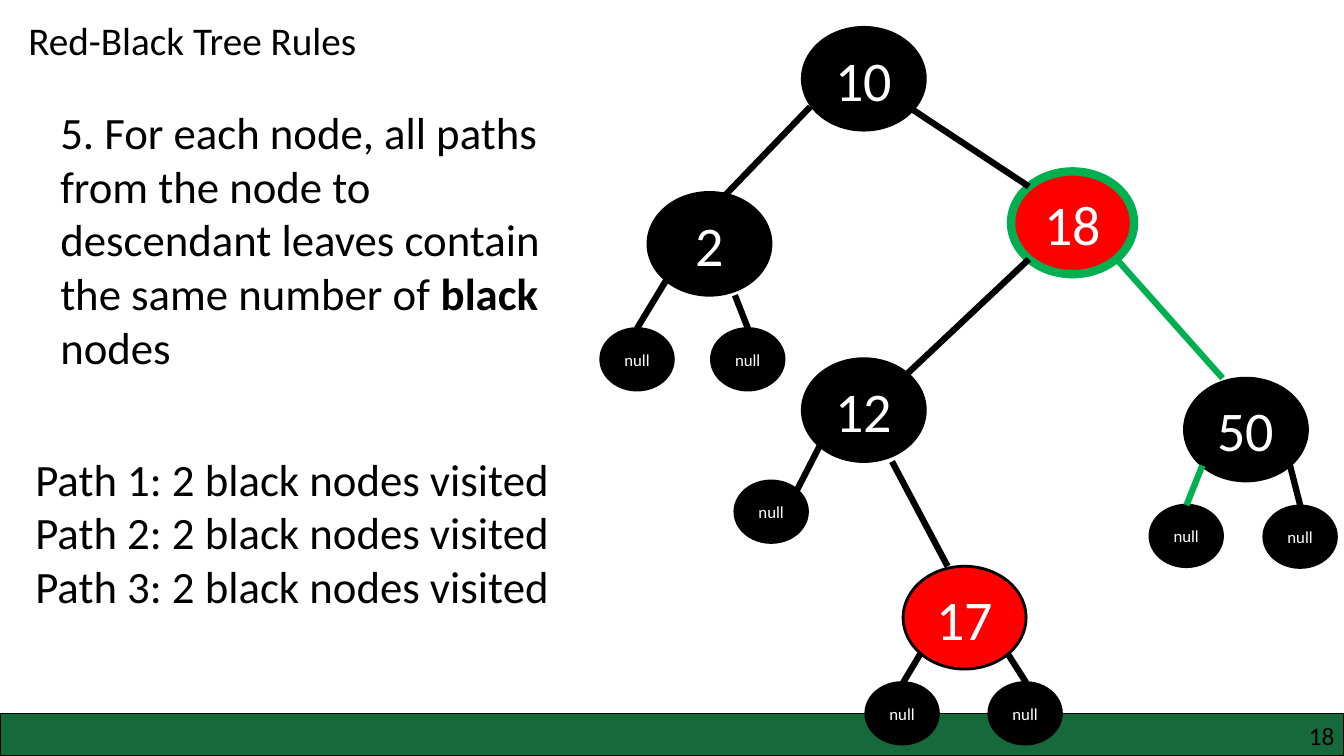
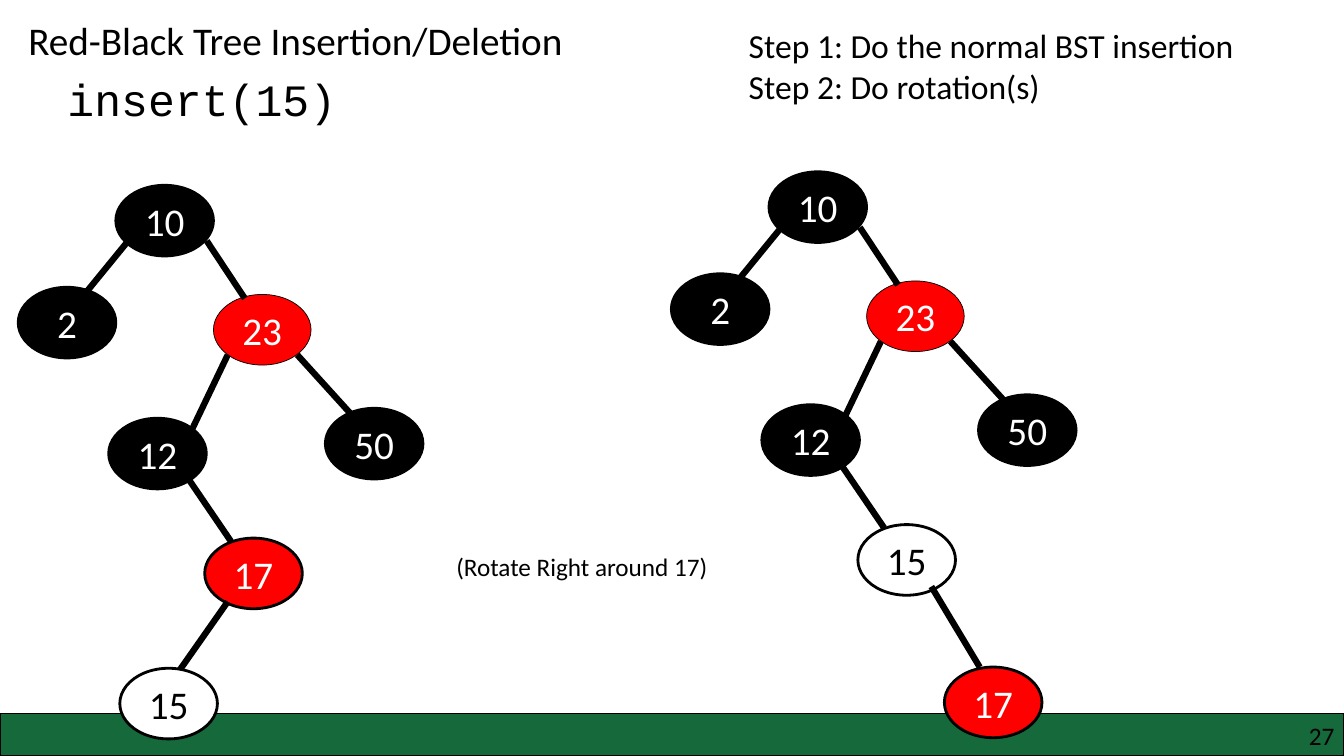
from lxml.etree import SubElement
from pptx import Presentation
from pptx.dml.color import RGBColor
from pptx.enum.shapes import MSO_CONNECTOR, MSO_SHAPE
from pptx.enum.text import MSO_ANCHOR, MSO_AUTO_SIZE, PP_ALIGN
from pptx.oxml.ns import qn
from pptx.util import Cm, Pt

BLACK = RGBColor(0x00, 0x00, 0x00)
WHITE = RGBColor(0xFF, 0xFF, 0xFF)
RED = RGBColor(0xFF, 0x00, 0x00)
GREEN = RGBColor(0x00, 0xB0, 0x50)
FOREST = RGBColor(0x15, 0x69, 0x3B)

WIDTH, HEIGHT = 33.87, 19.05
BAND = 1.07
BIG = dict(wide=3.1, high=2.59, size=40)
SMALL = dict(wide=1.83, high=1.55, size=12)
MID = dict(wide=2.46, high=1.78, size=28)
SHIFT = (16.46, -0.34)

RULE_NODES = [
    ("10", 20.22, 0.69, {}),
    ("18", 25.48, 4.32, dict(fill=RED, rim=GREEN, weight=6)),
    ("50", 29.85, 9.53, {}),
    ("12", 20.22, 9.04, {}),
    ("17", 22.76, 14.27, dict(fill=RED)),
    ("2", 16.33, 4.85, {}),
]
NULL_SPOTS = [
    (18.52, 12.12), (21.82, 17.2), (24.92, 17.2), (28.98, 12.73),
    (31.85, 12.75), (15.14, 8.28), (17.93, 8.28),
]
RULE_EDGES = [
    (20.42, 2.69, 17.88, 5.33),
    (23.01, 2.77, 25.93, 4.7),
    (25.93, 6.53, 22.86, 9.42),
    (22.48, 11.63, 23.88, 14.27),
    (16.79, 7.06, 16.05, 8.28),
    (18.52, 7.44, 18.85, 8.28),
    (20.65, 11.25, 20.09, 12.34),
    (23.19, 16.48, 22.76, 17.2),
    (25.4, 16.48, 25.86, 17.2),
    (32.51, 11.73, 32.77, 12.75),
]
PATH_EDGES = [(28.14, 6.53, 30.81, 9.53), (30.3, 11.73, 29.9, 12.73)]

TREE_NODES = [
    ("10", 2.92, 4.67, {}),
    ("23", 5.38, 7.42, dict(fill=RED, weight=0.5)),
    ("50", 8.2, 10.29, {}),
    ("12", 2.74, 10.54, {}),
    ("2", 0.46, 7.24, {}),
]
TREE_EDGES = [
    (3.23, 6.07, 2.03, 7.54),
    (5.21, 6.07, 6.17, 7.52),
    (5.74, 8.94, 4.85, 10.8),
    (7.49, 8.94, 8.94, 10.54),
    (4.75, 12.07, 5.82, 13.64),
]
RED_LEAF = ("17", dict(fill=RED))
NEW_LEAF = ("15", dict(fill=WHITE, color=BLACK))


def write(frame, text, size=32, font="Calibri", color=BLACK,
          align=PP_ALIGN.LEFT, anchor=MSO_ANCHOR.TOP, strong=None):
    frame.word_wrap = True
    frame.auto_size = MSO_AUTO_SIZE.NONE
    frame.vertical_anchor = anchor
    for index, line in enumerate(text.split("\n")):
        para = frame.add_paragraph() if index else frame.paragraphs[0]
        para.alignment = align
        parts = line.partition(strong) if strong else [line]
        for part in parts:
            run = para.add_run()
            run.text = part
            run.font.size = Pt(size)
            run.font.name = font
            run.font.color.rgb = color
            if strong:
                run.font.bold = part == strong


def add_text(slide, text, left, top, wide, high, **style):
    box = slide.shapes.add_textbox(Cm(left), Cm(top), Cm(wide), Cm(high))
    write(box.text_frame, text, **style)
    return box


def add_form(slide, kind, left, top, wide, high, fill, rim, weight):
    form = slide.shapes.add_shape(kind, Cm(left), Cm(top), Cm(wide), Cm(high))
    form.shadow.inherit = False
    form.fill.solid()
    form.fill.fore_color.rgb = fill
    form.line.color.rgb = rim
    form.line.width = Pt(weight)
    return form


def add_node(slide, text, left, top, wide, high, size,
             fill=BLACK, rim=BLACK, weight=2, color=WHITE):
    node = add_form(slide, MSO_SHAPE.OVAL, left, top, wide, high,
                    fill, rim, weight)
    write(node.text_frame, text, size=size, color=color,
          align=PP_ALIGN.CENTER, anchor=MSO_ANCHOR.MIDDLE)


def add_edge(slide, ends, color=BLACK, shift=(0, 0)):
    dx, dy = shift
    x1, y1, x2, y2 = ends
    edge = slide.shapes.add_connector(
        MSO_CONNECTOR.STRAIGHT,
        Cm(x1 + dx), Cm(y1 + dy), Cm(x2 + dx), Cm(y2 + dy))
    edge.line.color.rgb = color
    edge.line.width = Pt(4.5)
    SubElement(edge.element.spPr, qn("a:effectLst"))


def add_slide(deck, title, number):
    slide = deck.slides.add_slide(deck.slide_layouts[5])
    head = slide.shapes.title
    head.left, head.top = Cm(0.46), Cm(0.28)
    head.width, head.height = Cm(15), Cm(1.45)
    write(head.text_frame, title, size=28)
    add_form(slide, MSO_SHAPE.RECTANGLE, 0, HEIGHT - BAND, WIDTH, BAND,
             FOREST, BLACK, 1)
    box = add_text(slide, number, 25.83, 18.16, 7.8, 0.76, size=18,
                   align=PP_ALIGN.RIGHT)
    frame = box.text_frame
    frame.margin_left = frame.margin_right = 0
    frame.margin_top = frame.margin_bottom = 0
    return slide


def add_tree(slide, third, last, spot, link, shift=(0, 0)):
    dx, dy = shift
    nodes = TREE_NODES + [(third[0], 5.16, 13.56, third[1])]
    for text, left, top, style in nodes:
        add_node(slide, text, left + dx, top + dy, **MID, **style)
    for ends in TREE_EDGES + [link]:
        add_edge(slide, ends, shift=shift)
    text, style = last
    add_node(slide, text, spot[0] + dx, spot[1] + dy, **MID, **style)


def add_rules(deck):
    slide = add_slide(deck, "Red-Black Tree Rules", "18")
    add_text(slide, "5. For each node, all paths from the node to descendant "
             "leaves contain the same number of black nodes",
             1.27, 2.51, 13.26, 8.5, strong="black")
    add_text(slide, "\n".join(f"Path {n}: 2 black nodes visited"
                              for n in range(1, 4)),
             0.64, 11.25, 14.3, 4.37)
    for text, left, top, style in RULE_NODES:
        add_node(slide, text, left, top, **BIG, **style)
    for left, top in NULL_SPOTS:
        add_node(slide, "null", left, top, **SMALL)
    for ends in RULE_EDGES:
        add_edge(slide, ends)
    for ends in PATH_EDGES:
        add_edge(slide, ends, color=GREEN)


def add_insert(deck):
    slide = add_slide(deck, "Red-Black Tree Insertion/Deletion", "27")
    add_text(slide, "insert(15)", 1.45, 1.68, 8, 1.63, font="Courier New")
    add_text(slide, "Step 1: Do the normal BST insertion\n"
             "Step 2: Do rotation(s)", 18.62, 0.51, 13.5, 2.31, size=24)
    add_tree(slide, RED_LEAF, NEW_LEAF, (3.02, 16.84),
             (5.74, 15.16, 4.42, 17.04))
    add_tree(slide, NEW_LEAF, RED_LEAF, (7.34, 17.15),
             (7.01, 15.12, 8.23, 17.15), shift=SHIFT)
    add_text(slide, "(Rotate Right around 17)", 11.25, 13.77, 7.5, 1.02,
             size=18)


def main():
    deck = Presentation()
    deck.slide_width, deck.slide_height = Cm(WIDTH), Cm(HEIGHT)
    add_rules(deck)
    add_insert(deck)
    deck.save("out.pptx")


if __name__ == "__main__":
    main()
